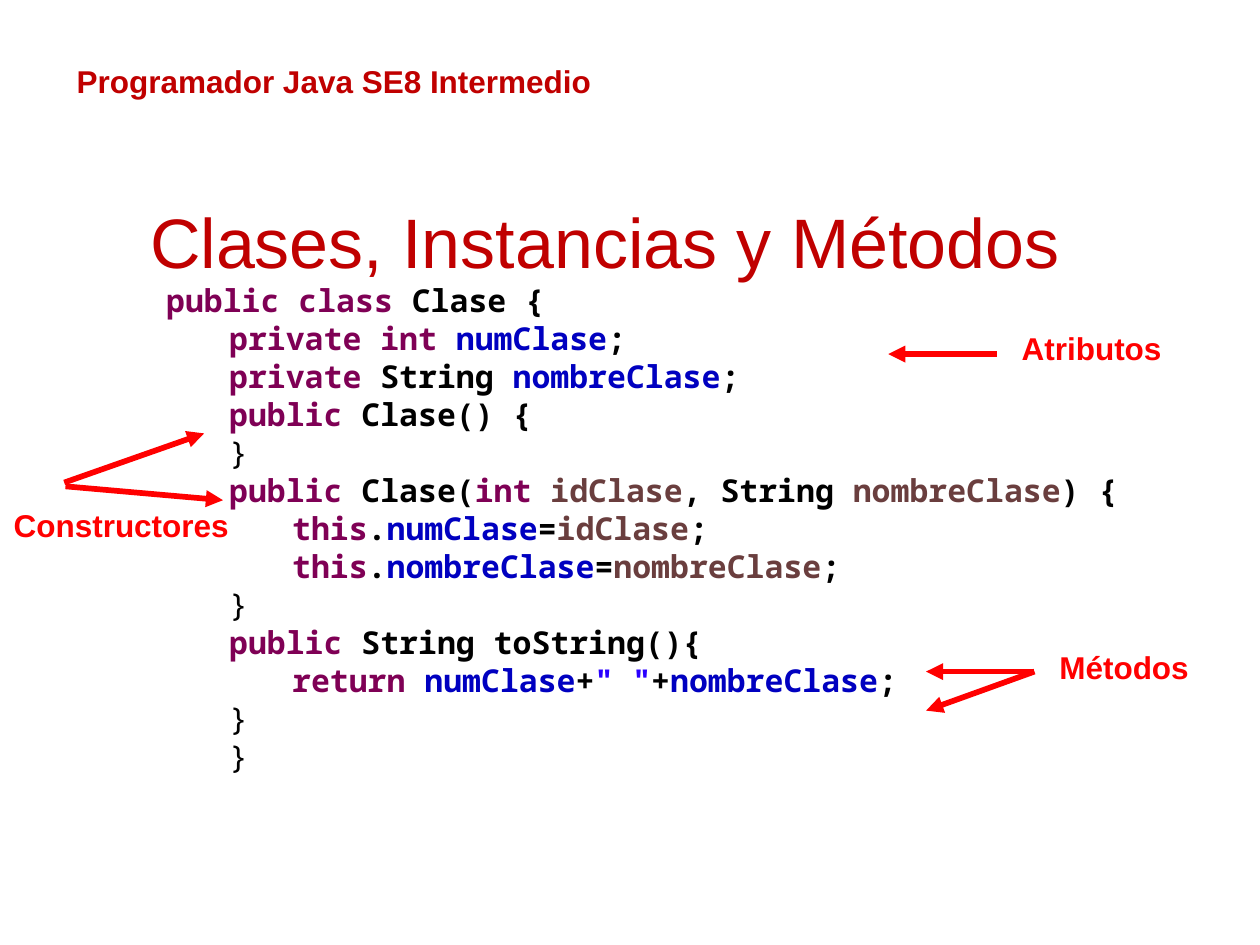
from dataclasses import dataclass

from lxml import etree
from pptx import Presentation
from pptx.dml.color import RGBColor
from pptx.enum.shapes import MSO_CONNECTOR
from pptx.enum.text import MSO_ANCHOR, PP_ALIGN
from pptx.oxml.ns import qn
from pptx.util import Inches, Pt

STRAIGHT = MSO_CONNECTOR.STRAIGHT
LEFT, CENTER = PP_ALIGN.LEFT, PP_ALIGN.CENTER
TOP, MIDDLE = MSO_ANCHOR.TOP, MSO_ANCHOR.MIDDLE


@dataclass(frozen=True)
class Theme:
    sans: str = "Arial"
    mono: str = "Noto Sans Mono"
    heading: str = "C00000"
    accent: str = "FF0000"
    plain: str = "000000"
    keyword: str = "7F0055"
    field: str = "0000C0"
    param: str = "6A3E3E"
    string: str = "2A00FF"
    title_size: float = 40
    body_size: float = 18
    code_pitch: float = 21.7
    code_indent: float = 0.5
    arrow_width: float = 3.25


THEME = Theme()
KEYWORD, FIELD, PARAM = THEME.keyword, THEME.field, THEME.param
STRING, PLAIN = THEME.string, THEME.plain

# Java listing: indent level, then coloured pieces of the line
CLOSING = (1, [("}", PLAIN)])
CODE = [
    (0, [("public class", KEYWORD), (" Clase {", PLAIN)]),
    (1, [("private int ", KEYWORD), ("numClase", FIELD), (";", PLAIN)]),
    (1, [("private", KEYWORD), (" String ", PLAIN),
         ("nombreClase", FIELD), (";", PLAIN)]),
    (1, [("public", KEYWORD), (" Clase() {", PLAIN)]),
    CLOSING,
    (1, [("public", KEYWORD), (" Clase(", PLAIN), ("int ", KEYWORD),
         ("idClase", PARAM), (", String ", PLAIN),
         ("nombreClase", PARAM), (") {", PLAIN)]),
    (2, [("this", KEYWORD), (".", PLAIN), ("numClase", FIELD),
         ("=", PLAIN), ("idClase", PARAM), (";", PLAIN)]),
    (2, [("this", KEYWORD), (".", PLAIN), ("nombreClase", FIELD),
         ("=", PLAIN), ("nombreClase", PARAM), (";", PLAIN)]),
    CLOSING,
    (1, [("public", KEYWORD), (" String toString(){", PLAIN)]),
    (2, [("return ", KEYWORD), ("numClase", FIELD), ("+", PLAIN),
         ('" "', STRING), ("+", PLAIN), ("nombreClase", FIELD),
         (";", PLAIN)]),
    CLOSING,
    CLOSING,
]

# Callouts: label, its box, and the arrows as (from, to)
CALLOUTS = [
    ("Atributos", (8.01, 2.56, 1.31, 0.4),
     [((7.91, 2.81), (7.05, 2.81))]),
    ("Constructores", (0.01, 3.97, 1.91, 0.4),
     [((0.51, 3.83), (1.62, 3.44)), ((0.52, 3.86), (1.77, 3.97))]),
    ("Métodos", (8.31, 5.09, 1.23, 0.4),
     [((8.21, 5.33), (7.35, 5.33)), ((8.21, 5.33), (7.35, 5.64))]),
]


class SlideBuilder:
    def __init__(self, slide, theme):
        self.s = slide
        self.theme = theme

    def frame(self, box, wrap=True, anchor=TOP):
        sp = self.s.shapes.add_textbox(*map(Inches, box))
        tf = sp.text_frame
        tf.word_wrap = wrap
        tf.vertical_anchor = anchor
        return tf

    def style(self, r, font, size, color, bold):
        r.font.name = font
        r.font.size = Pt(size)
        r.font.bold = bold
        r.font.color.rgb = RGBColor.from_string(color)

    def text(self, text, box, color, size, bold=True, align=LEFT,
             wrap=True, anchor=TOP):
        tf = self.frame(box, wrap, anchor)
        tf.text = text
        p = tf.paragraphs[0]
        p.alignment = align
        self.style(p.runs[0], self.theme.sans, size, color, bold)

    def code(self, lines, box):
        t = self.theme
        tf = self.frame(box)
        for i, (level, pieces) in enumerate(lines):
            p = tf.paragraphs[0] if i == 0 else tf.add_paragraph()
            p.level = level
            p.line_spacing = Pt(t.code_pitch)
            pPr = p._p.get_or_add_pPr()
            pPr.set("marL", str(Inches(level * t.code_indent)))
            pPr.set("indent", "0")
            for text, color in pieces:
                r = p.add_run()
                r.text = text
                self.style(r, t.mono, t.body_size, color, text != "}")

    def arrow(self, start, end):
        line = self.s.shapes.add_connector(
            STRAIGHT, *map(Inches, (*start, *end)))
        line.line.color.rgb = RGBColor.from_string(self.theme.accent)
        line.line.width = Pt(self.theme.arrow_width)
        ln = line.line._get_or_add_ln()
        etree.SubElement(ln, qn("a:tailEnd"), type="triangle")
        etree.SubElement(line._element.spPr, qn("a:effectLst"))


def main():
    prs = Presentation()
    prs.slide_width, prs.slide_height = Inches(10), Inches(7.5)
    b = SlideBuilder(prs.slides.add_slide(prs.slide_layouts[6]), THEME)

    # Course name and title
    b.text("Programador Java SE8 Intermedio", (0.51, 0.44, 4.65, 0.4),
           THEME.heading, THEME.body_size)
    b.text("Clases, Instancias y Métodos", (0.98, 1.47, 7.64, 0.87),
           THEME.heading, THEME.title_size, bold=False, align=CENTER,
           anchor=MIDDLE)

    # Code listing
    b.code(CODE, (1.22, 2.18, 7.88, 4))

    # Callouts with their arrows
    for label, box, arrows in CALLOUTS:
        b.text(label, box, THEME.accent, THEME.body_size, wrap=False)
        for start, end in arrows:
            b.arrow(start, end)

    prs.save("out.pptx")


if __name__ == "__main__":
    main()
